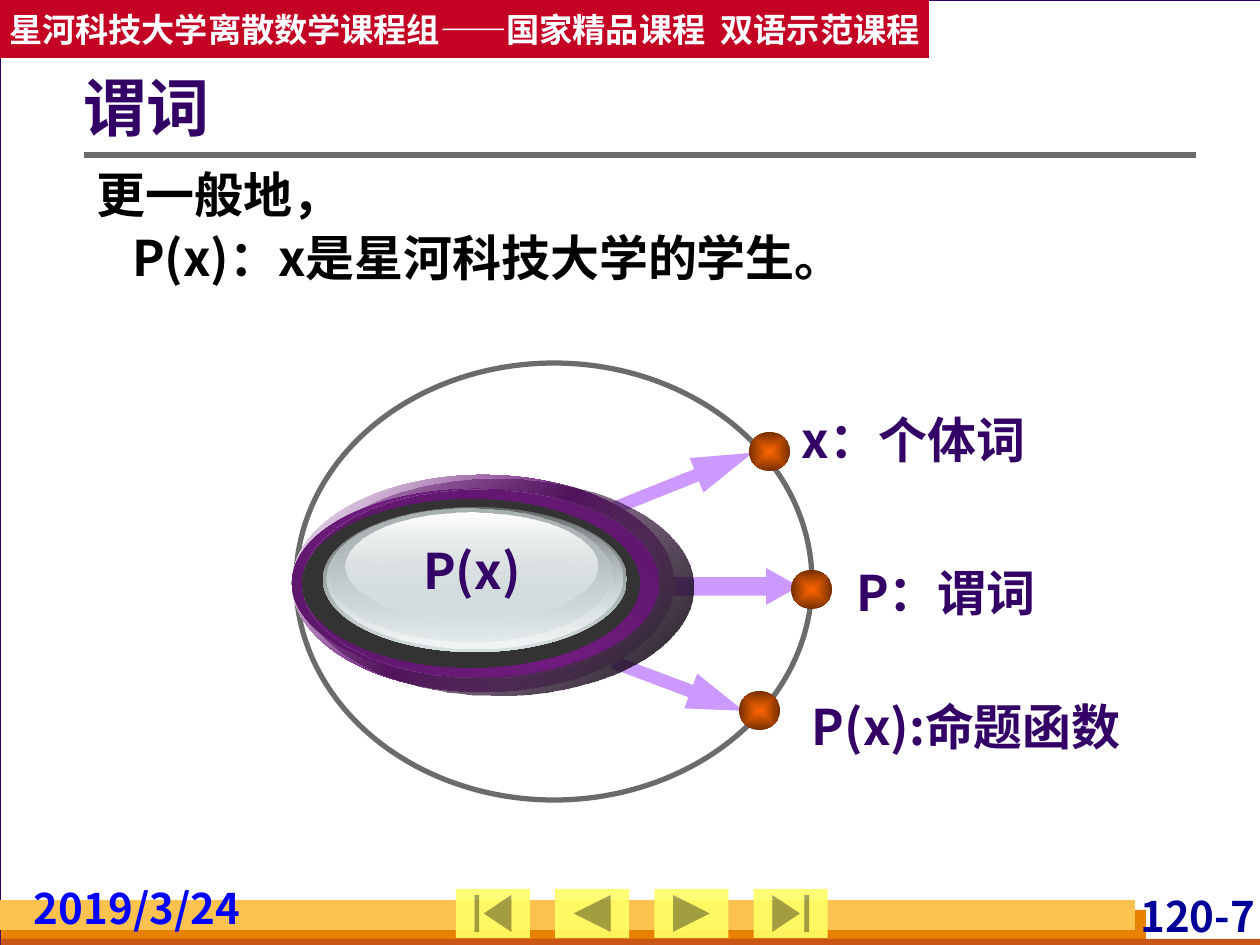
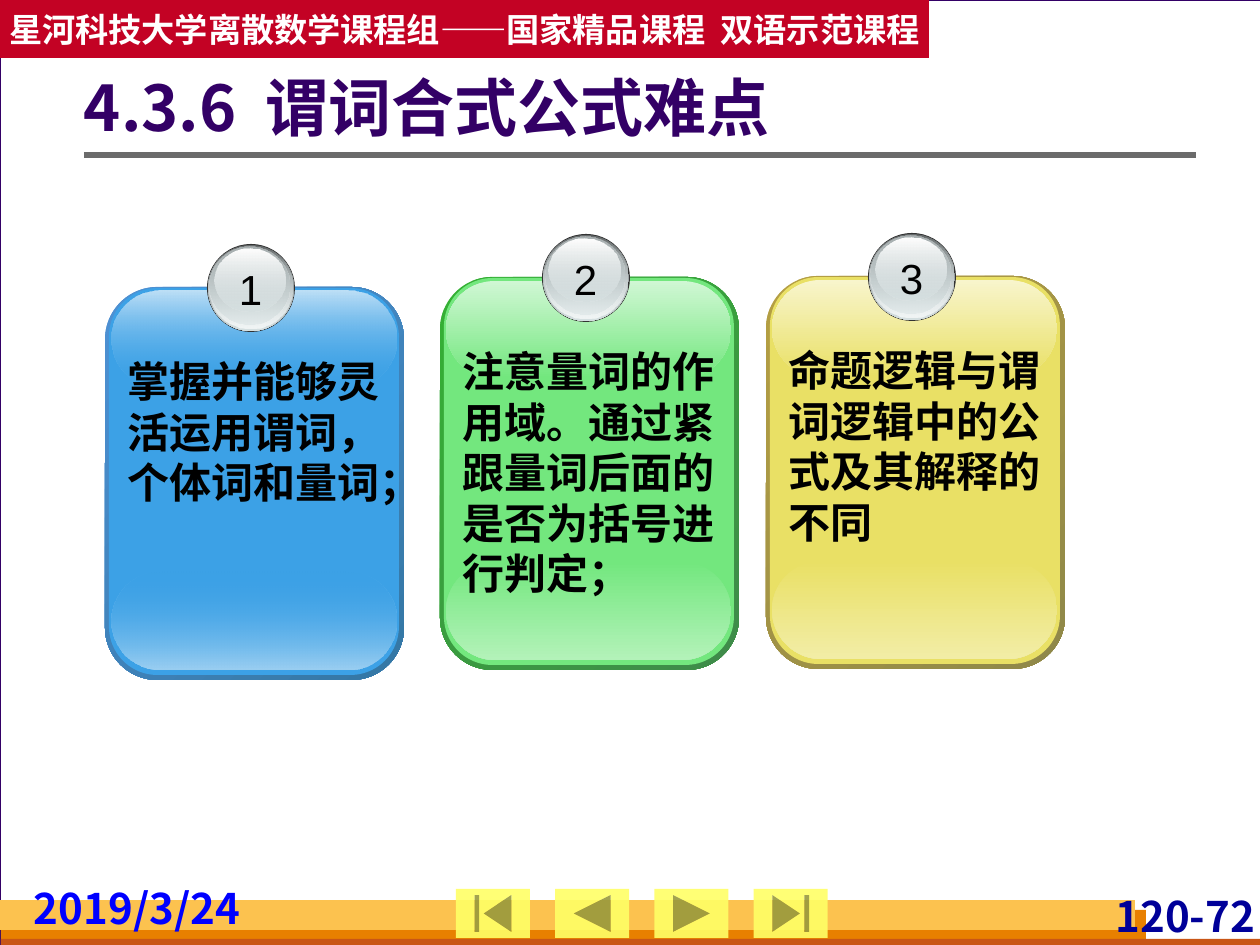
from pptx import Presentation
from pptx.dml.color import RGBColor
from pptx.enum.lang import MSO_LANGUAGE_ID
from pptx.enum.shapes import MSO_CONNECTOR, MSO_SHAPE
from pptx.enum.text import MSO_ANCHOR, MSO_AUTO_SIZE, PP_ALIGN
from pptx.oxml import parse_xml
from pptx.oxml.ns import nsdecls, qn
from pptx.util import Emu, Pt

RECT = MSO_SHAPE.RECTANGLE
ROUND = MSO_SHAPE.ROUNDED_RECTANGLE
OVAL = MSO_SHAPE.OVAL
ARROW = MSO_SHAPE.RIGHT_ARROW
STRAIGHT = MSO_CONNECTOR.STRAIGHT
LEFT, CENTER, RIGHT = PP_ALIGN.LEFT, PP_ALIGN.CENTER, PP_ALIGN.RIGHT
MIDDLE, TOP = MSO_ANCHOR.MIDDLE, MSO_ANCHOR.TOP
GROW, FIXED = MSO_AUTO_SIZE.SHAPE_TO_FIT_TEXT, MSO_AUTO_SIZE.NONE
CHINESE = MSO_LANGUAGE_ID.SIMPLIFIED_CHINESE

SCALE = 914400 / 126
SANS, CARD_FONT, NUMBER_FONT = "Noto Sans CJK SC", "DejaVu Sans", "Arial"
PURPLE, BLACK, WHITE, GREY, DARK = "330066", "000000", "FFFFFF", "6B6B6B", "333333"
LILAC, YELLOW = "CC99FF", "FFFF66"
INSETS = (13, 6, 13, 6)

BANNER = "星河科技大学离散数学课程组——国家精品课程  双语示范课程"
DATE = "2019/3/24"
BANDS = [
    ((1, 910, 1145, 35), "E88000"),
    ((1, 939, 1260, 10), "C95616"),
    ((0, 900, 1135, 30), "FCC24F"),
]
BUTTONS = [
    MSO_SHAPE.ACTION_BUTTON_BEGINNING,
    MSO_SHAPE.ACTION_BUTTON_BACK_OR_PREVIOUS,
    MSO_SHAPE.ACTION_BUTTON_FORWARD_OR_NEXT,
    MSO_SHAPE.ACTION_BUTTON_END,
]

BODY = [("更一般地，", 0), ("P(x)：x是星河科技大学的学生。", 35)]
LABELS = [
    ("x：个体词", (789, 403, 267, 72)),
    ("P：谓词", (843, 556, 244, 72)),
    ("P(x):命题函数", (799, 690, 367, 72)),
]
ARROWS = [
    ((609, 462, 149, 37), 338.2, (0.352, 1.632)),
    ((609, 668, 139, 37), 20.5, (0.352, 1.522)),
    ((667, 568, 132, 37), 0, (0.5, 0.891)),
]
KNOBS = [(749, 432), (739, 691), (791, 570)]
KNOB_STOPS = [("FF6600", 100), ("762F00", 100)]
RINGS = [
    ((292, 475, 382, 217), [(WHITE, 100), ("711C81", 100), (WHITE, 100)], 45),
    ((302, 479, 392, 217), [("711C81", 32), (BLACK, 90)], 45),
    ((292, 489, 367, 188), [("571563", 100), ("711C81", 100), ("571563", 100)], 315),
    ((302, 490, 357, 188), [("5D176A", 100), ("711C81", 0)], 45),
]
GLASS = [
    [("636869", 100), ("D6E1E2", 100)],
    [("D6E1E2", 0), ("F1F5F5", 100)],
    [("AAB2B3", 100), ("D6E1E2", 48)],
    [(WHITE, 100), ("D6E1E2", 38)],
]
CORE_FRAMES = [
    (302, 499, 338, 169), (323, 507, 304, 145), (326, 508, 296, 141),
    (329, 509, 282, 132), (346, 513, 251, 107),
]
BADGE_FRAMES = [
    (102, -43, 88, 88), (103, -42, 86, 86), (104, -41, 83, 83),
    (105, -40, 79, 78), (109, -38, 71, 63),
]
CARDS = [
    dict(number="3", at=(766, 276), text="命题逻辑与谓词逻辑中的公式及其解释的不同", height=214,
         rim=("B59F43", "8F8849"), face="E9E065", shine="F8F5CC", glow="F2EDA6", alpha=100),
    dict(number="1", at=(105, 287), text="掌握并能够灵活运用谓词，个体词和量词；", height=214,
         rim=("4E91D4", "3477A4"), face="3CA1E6", shine="BEE0F7", glow="9BCFF2", alpha=0),
    dict(number="2", at=(440, 277), text="注意量词的作用域。通过紧跟量词后面的是否为括号进行判定；", height=264,
         rim=("34B034", "3F8B4A"), face="73E77E", shine="D0F7D4", glow="B3F2B9", alpha=100),
]


def px(length):
    return Emu(round(length * SCALE))


def rgb(value):
    return RGBColor.from_string(value)


def stop_xml(position, value, alpha):
    return (f'<a:gs pos="{position}"><a:srgbClr val="{rgb(value)}">'
            f'<a:alpha val="{alpha * 1000}"/></a:srgbClr></a:gs>')


def paint_gradient(shape, stops, angle):
    step = 100000 // (len(stops) - 1)
    stop_list = "".join(stop_xml(i * step, *stop) for i, stop in enumerate(stops))
    if angle is None:
        direction = ('<a:path path="shape"><a:fillToRect l="50000" t="50000" '
                     'r="50000" b="50000"/></a:path>')
    else:
        direction = f'<a:lin ang="{angle * 60000}" scaled="0"/>'
    shape.fill.background()
    properties = shape._element.spPr
    properties.replace(properties.find(qn("a:noFill")), parse_xml(
        f'<a:gradFill {nsdecls("a")} rotWithShape="1"><a:gsLst>{stop_list}</a:gsLst>'
        f'{direction}</a:gradFill>'))


def add_shape(shapes, kind, frame, fill=None, angle=90, line=None, width=0.75, adjust=()):
    shape = shapes.add_shape(kind, *map(px, frame))
    shape.shadow.inherit = False
    for index, value in enumerate(adjust):
        shape.adjustments[index] = value
    if fill is None:
        shape.fill.background()
    elif isinstance(fill, str):
        shape.fill.solid()
        shape.fill.fore_color.rgb = rgb(fill)
    else:
        paint_gradient(shape, fill, angle)
    if line:
        shape.line.color.rgb = rgb(line)
        shape.line.width = Pt(width)
    else:
        shape.line.fill.background()
    return shape


def add_span(para, text, size, color, font=SANS, bold=True):
    span = para.add_run()
    span.text = text
    span.font.size = Pt(size)
    span.font.bold = bold
    span.font.name = font
    span.font.color.rgb = rgb(color)
    span.font.language_id = CHINESE
    latin = span.font._element.find(qn("a:latin"))
    latin.addnext(parse_xml(f'<a:ea {nsdecls("a")} typeface="{font}"/>'))


def set_frame(frame, insets=INSETS, anchor=TOP, wrap=True, fit=GROW):
    (frame.margin_left, frame.margin_top,
     frame.margin_right, frame.margin_bottom) = map(px, insets)
    frame.vertical_anchor = anchor
    frame.word_wrap = wrap
    frame.auto_size = fit


def add_label(shapes, frame, text, size, color, align=LEFT, font=SANS,
              bold=True, insets=INSETS, wrap=True):
    box = shapes.add_textbox(*map(px, frame))
    set_frame(box.text_frame, insets, wrap=wrap)
    para = box.text_frame.paragraphs[0]
    para.alignment = align
    add_span(para, text, size, color, font, bold)


def place(page, holder, frame):
    page.shapes._spTree.append(holder._element)
    holder.left, holder.top, holder.width, holder.height = map(px, frame)


def add_page(deck, layout, title, number):
    page = deck.slides.add_slide(deck.slide_layouts[layout])
    page.background.fill.solid()
    page.background.fill.fore_color.rgb = rgb("D8DADA")
    shapes = page.shapes
    add_shape(shapes, RECT, (0, 0, 1261, 945), WHITE, line=PURPLE)
    for frame, color in BANDS:
        add_shape(shapes, RECT, frame, color)
    add_label(shapes, (1076, 891, 179, 50), number, 24, "000099", RIGHT, insets=(0, 0, 0, 0))

    rule = shapes.add_connector(STRAIGHT, px(84), px(155), px(1196), px(155))
    rule.line.color.rgb = rgb(GREY)
    rule.line.width = Pt(3)
    rule._element.spPr.append(parse_xml(f'<a:effectLst {nsdecls("a")}/>'))

    for index, kind in enumerate(BUTTONS):
        button = add_shape(shapes, kind, (456 + index * 99.25, 889, 74, 49), YELLOW)
        color = button._element.spPr.find(qn("a:solidFill"))[0]
        color.append(parse_xml(f'<a:alpha {nsdecls("a")} val="90000"/>'))

    banner = add_shape(shapes, RECT, (0, 0, 929, 58), "C30224")
    set_frame(banner.text_frame, (5, 6, 5, 6), MIDDLE, False, FIXED)
    banner.text_frame.paragraphs[0].alignment = CENTER
    add_span(banner.text_frame.paragraphs[0], BANNER, 19, WHITE)
    add_label(shapes, (34, 883, 238, 50), DATE, 24, "0000FF", insets=(0, 0, 0, 0))

    heading = shapes.title
    place(page, heading, (84, 48, 1111, 127))
    set_frame(heading.text_frame, (0, 6, 13, 6), MIDDLE, fit=FIXED)
    para = heading.text_frame.paragraphs[0]
    para.alignment = LEFT
    para.line_spacing = 0.9
    add_span(para, title, 36, PURPLE)
    return page


def add_glass(shapes, frames):
    rim, *layers = frames
    add_shape(shapes, OVAL, rim, DARK)
    for frame, stops in zip(layers, GLASS):
        add_shape(shapes, OVAL, frame, stops)


def add_body(page):
    body = page.placeholders[1]
    place(page, body, (84, 165, 1111, 130))
    set_frame(body.text_frame)
    for index, (text, indent) in enumerate(BODY):
        para = body.text_frame.add_paragraph() if index else body.text_frame.paragraphs[0]
        para.line_spacing = 0.9
        properties = para._element.get_or_add_pPr()
        properties.set("marL", str(px(indent)))
        properties.set("indent", "0")
        properties.append(parse_xml(f'<a:buNone {nsdecls("a")}/>'))
        add_span(para, text, 28, BLACK)


def add_diagram(page):
    for text, frame in LABELS:
        add_label(page.shapes, frame, text, 28, PURPLE)
    shapes = page.shapes.add_group_shape().shapes
    for frame, rotation, adjust in ARROWS:
        arrow = add_shape(shapes, ARROW, frame, LILAC, adjust=adjust)
        arrow.rotation = rotation
    add_shape(shapes, OVAL, (296, 363, 516, 437), line=GREY, width=3)
    for left, top in KNOBS:
        add_shape(shapes, OVAL, (left, top, 41, 39), KNOB_STOPS, None)
    for frame, stops, angle in RINGS:
        add_shape(shapes, OVAL, frame, stops, angle)
    add_glass(shapes, CORE_FRAMES)
    add_label(shapes, (353, 534, 238, 72), "P(x)", 28, PURPLE, CENTER)


def add_card(page, card):
    left, top = card["at"]

    def inside(frame):
        x, y, width, height = frame
        return left + x, top + y, width, height

    shapes = page.shapes.add_group_shape().shapes
    rim = [(color, 100) for color in card["rim"]]
    face = (card["face"], card["alpha"])
    layers = [
        ((0, 0, 299, 393), rim, 45, 0.175),
        ((4, 1, 290, 387), card["face"], 90, 0.167),
        ((6, 285, 285, 98), [face, (card["glow"], 100)], 90, 0.5),
        ((6, 4, 285, 97), [(card["shine"], 100), face], 90, 0.5),
    ]
    for frame, fill, angle, corner in layers:
        add_shape(shapes, ROUND, inside(frame), fill, angle, adjust=(corner,))
    add_glass(shapes, map(inside, BADGE_FRAMES))
    add_label(shapes, inside((121, -29, 49, 63)), card["number"], 24, BLACK, CENTER,
              NUMBER_FONT, False, wrap=False)
    add_label(shapes, inside((10, 63, 284, card["height"])), card["text"], 24, BLACK,
              font=CARD_FONT)


deck = Presentation()
deck.slide_width, deck.slide_height = px(1260), px(945)

predicate_page = add_page(deck, 1, "谓词", "120-7")
add_body(predicate_page)
add_diagram(predicate_page)

difficulty_page = add_page(deck, 5, "4.3.6  谓词合式公式难点", "120-72")
for card in CARDS:
    add_card(difficulty_page, card)

deck.save("out.pptx")
